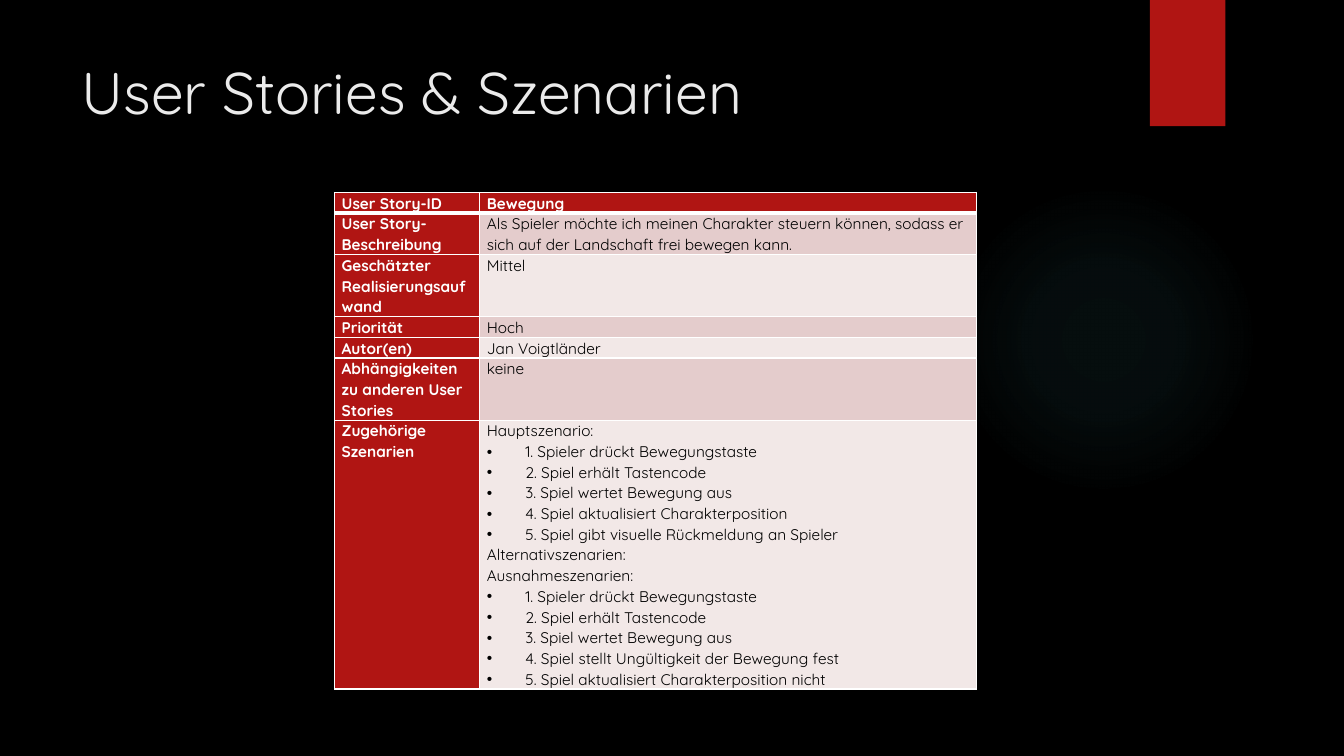
"""Build the user story slide with its title, glow, tab and table."""
from dataclasses import dataclass

from lxml.etree import SubElement as Sub
from pptx import Presentation
from pptx.dml.color import RGBColor as Rgb
from pptx.enum.shapes import MSO_SHAPE as Shape
from pptx.enum.text import MSO_ANCHOR as Anchor, PP_ALIGN as Align
from pptx.oxml import parse_xml
from pptx.oxml.ns import nsdecls, qn
from pptx.util import Cm, Pt

HUES = {"back": "000000", "red": "B01513", "glow": "50B9C1", "title": "EBEBEB",
        "white": "FFFFFF", "ink": "000000", "dark": "E4CCCC", "light": "F2E8E7"}
FONT = "Quicksand"
LINE = 0.48


@dataclass
class Row:
    head: str
    body: list[str]
    lines: int


STEPS = ["1. Spieler drückt Bewegungstaste", "2. Spiel erhält Tastencode",
         "3. Spiel wertet Bewegung aus"]
ROWS = [
    Row("User Story-ID", ["Bewegung"], 1),
    Row("User Story-Beschreibung",
        ["Als Spieler möchte ich meinen Charakter steuern können, "
         "sodass er sich auf der Landschaft frei bewegen kann."], 2),
    Row("Geschätzter Realisierungsaufwand", ["Mittel"], 3),
    Row("Priorität", ["Hoch"], 1),
    Row("Autor(en)", ["Jan Voigtländer"], 1),
    Row("Abhängigkeiten zu anderen User Stories", ["keine"], 3),
    Row("Zugehörige Szenarien",
        ["Hauptszenario:", *STEPS,
         "4. Spiel aktualisiert Charakterposition",
         "5. Spiel gibt visuelle Rückmeldung an Spieler",
         "Alternativszenarien:", "Ausnahmeszenarien:", *STEPS,
         "4. Spiel stellt Ungültigkeit der Bewegung fest",
         "5. Spiel aktualisiert Charakterposition nicht"], 13),
]


def tint(name: str) -> Rgb:
    """Return the named colour."""
    return Rgb.from_string(HUES[name])


def put(para, text: str, *, size: float = 11, hue: str = "ink",
        bold: bool = False, space: float = 1.07, dot: bool = False) -> None:
    """Write formatted text into a paragraph."""
    run = para.add_run()
    run.text = text
    run.font.name, run.font.size, run.font.bold = FONT, Pt(size), bold
    run.font.color.rgb = tint(hue)
    para.alignment = Align.LEFT
    para.line_spacing = space
    if dot:
        props = para._p.get_or_add_pPr()
        props.set("marL", str(Cm(0.97)))
        props.set("indent", str(-Cm(0.97)))
        Sub(props, qn("a:buFont"), typeface="Arial")
        Sub(props, qn("a:buChar"), char="•")


def edge(cell, top: float, base: float) -> None:
    """Draw white borders round a cell."""
    props = cell._tc.get_or_add_tcPr()
    for side, width in (("L", 1), ("R", 1), ("T", top), ("B", base)):
        line = Sub(props, qn(f"a:ln{side}"), w=str(Pt(width)))
        Sub(Sub(line, qn("a:solidFill")), qn("a:srgbClr"), val=HUES["white"])


def fill(cell, texts: list[str], fond: str, hue: str, bold: bool) -> None:
    """Colour a cell and write its paragraphs."""
    cell.margin_left = cell.margin_right = Cm(0.18)
    cell.margin_top = cell.margin_bottom = 0
    cell.fill.solid()
    cell.fill.fore_color.rgb = tint(fond)
    for i, text in enumerate(texts):
        para = cell.text_frame.paragraphs[0] if i == 0 else cell.text_frame.add_paragraph()
        put(para, text, hue=hue, bold=bold, dot=text[0].isdigit())


def form(slide, kind: Shape, *box: float):
    """Add a red shape without line or shadow."""
    shape = slide.shapes.add_shape(kind, *map(Cm, box))
    shape.shadow.inherit = False
    shape.fill.solid()
    shape.fill.fore_color.rgb = tint("red")
    shape.line.fill.background()
    return shape


def glow(slide) -> None:
    """Add the soft round glow."""
    props = form(slide, Shape.OVAL, 23.9, 4.65, 7.82, 7.82)._element.spPr
    stops = "".join(
        f'<a:gs pos="{pos}000"><a:srgbClr val="{HUES["glow"]}">'
        f'<a:alpha val="{alpha}000"/></a:srgbClr></a:gs>'
        for pos, alpha in ((0, 7), (36, 6), (69, 0)))
    grad = parse_xml(
        f'<a:gradFill {nsdecls("a")}><a:gsLst>{stops}</a:gsLst><a:path path="circle">'
        '<a:fillToRect l="50000" t="50000" r="50000" b="50000"/></a:path></a:gradFill>')
    props.replace(props.find(qn("a:solidFill")), grad)


def head(slide) -> None:
    """Place and write the title."""
    title = slide.shapes.title
    title.left, title.top, title.width, title.height = map(Cm, (1.8, 1.27, 26.14, 3.89))
    title.text_frame.vertical_anchor = Anchor.TOP
    put(title.text_frame.paragraphs[0], "User Stories & Szenarien",
        size=42, hue="title", space=1.0)


def grid(slide) -> None:
    """Add the user story table."""
    total = LINE * sum(row.lines for row in ROWS)
    table = slide.shapes.add_table(
        len(ROWS), 2, Cm(8.43), Cm(4.85), Cm(16.18), Cm(total)).table
    for col, width in zip(table.columns, (3.66, 12.52)):
        col.width = Cm(width)
    for i, row in enumerate(ROWS):
        table.rows[i].height = Cm(LINE * row.lines)
        name, body = table.cell(i, 0), table.cell(i, 1)
        for cell in (name, body):
            edge(cell, 3 if i == 1 else 1, 3 if i == 0 else 1)
        fill(name, [row.head], "red", "white", True)
        if i == 0:
            fill(body, row.body, "red", "white", True)
        else:
            fill(body, row.body, "dark" if i % 2 else "light", "ink", False)


def main() -> None:
    """Build and save the deck."""
    deck = Presentation()
    deck.slide_width, deck.slide_height = Cm(33.87), Cm(19.05)
    slide = deck.slides.add_slide(deck.slide_layouts[5])
    slide.background.fill.solid()
    slide.background.fill.fore_color.rgb = tint("back")
    glow(slide)
    form(slide, Shape.RECTANGLE, 28.98, 0, 1.9, 3.18)
    head(slide)
    grid(slide)
    deck.save("out.pptx")


if __name__ == "__main__":
    main()
